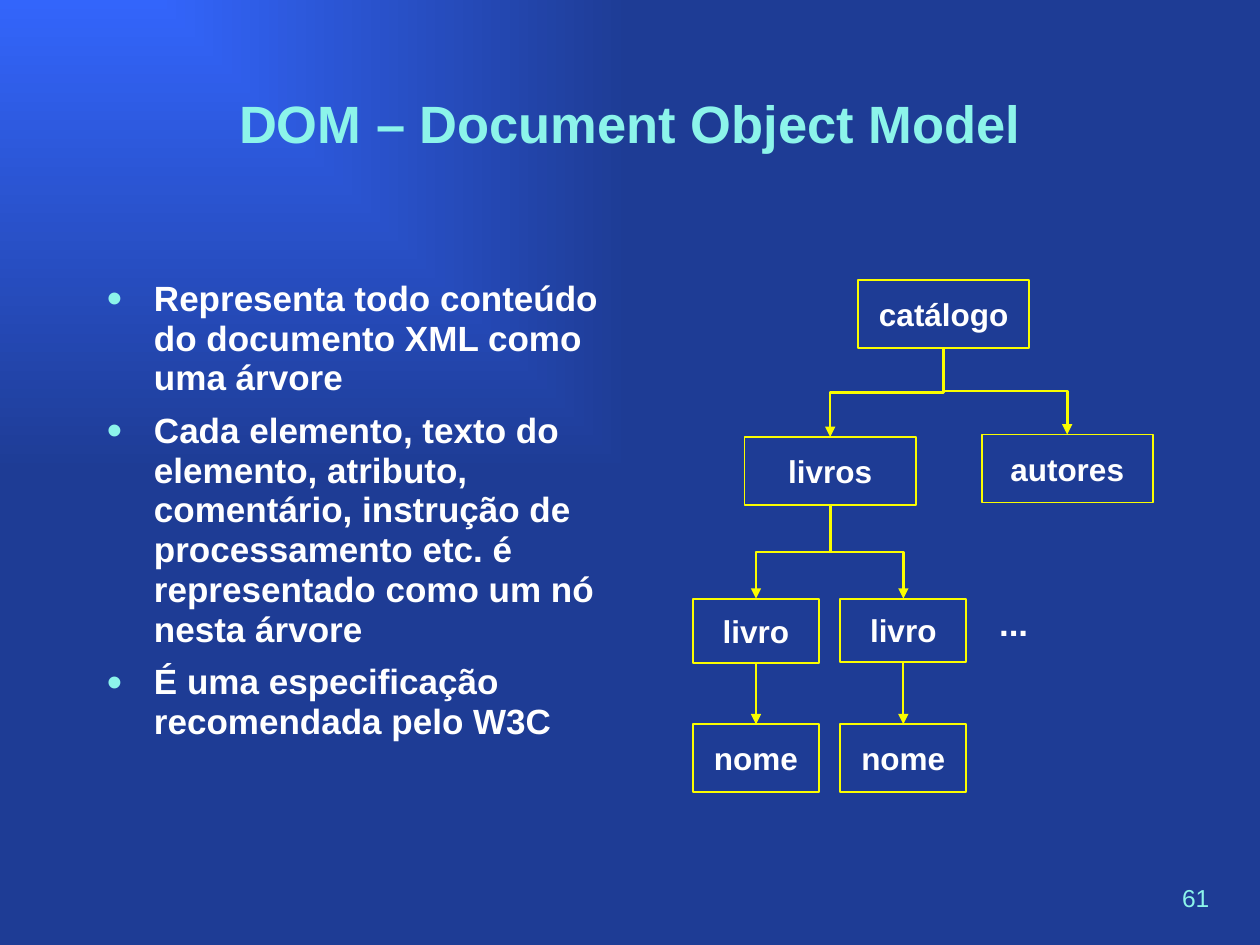
from lxml import etree
from pptx import Presentation
from pptx.dml.color import RGBColor
from pptx.enum import shapes, text
from pptx.oxml.ns import qn
from pptx.util import Cm, Pt

COLORS = {
    "glow": "3365FB",
    "night": "1E3C95",
    "aqua": "8CF4EA",
    "white": "FFFFFF",
    "yellow": "FAFD00",
}


def rgb(name):
    return RGBColor.from_string(COLORS[name])


class TreeSlide:
    """Holds the style and the current slide."""

    font_name = "Arial"

    def __init__(self, slide):
        self.slide = slide

    def background(self):
        fill = self.slide.background.fill
        fill.gradient()
        for stop, color in zip(fill.gradient_stops, ("glow", "night")):
            stop.color.rgb = rgb(color)
        gradient = self.slide._element.find(".//" + qn("a:gradFill"))
        gradient.remove(gradient.find(qn("a:lin")))
        shade = etree.SubElement(gradient, qn("a:path"), path="rect")
        etree.SubElement(shade, qn("a:fillToRect"), r="100000", b="100000")

    def style(self, paragraph, size, color="white", bold=True, align=None):
        font = paragraph.font
        font.name, font.size, font.bold = self.font_name, Pt(size), bold
        font.color.rgb = rgb(color)
        paragraph.alignment = align

    def place(self, shape, left, top, width, height):
        shape.left, shape.top = Cm(left), Cm(top)
        shape.width, shape.height = Cm(width), Cm(height)
        frame = shape.text_frame
        frame.auto_size = text.MSO_AUTO_SIZE.NONE
        frame.vertical_anchor = text.MSO_ANCHOR.TOP
        return frame

    def title(self, words, *box):
        frame = self.place(self.slide.shapes.title, *box)
        frame.text = words
        self.style(frame.paragraphs[0], 30, "aqua", align=text.PP_ALIGN.CENTER)

    def bullets(self, items, *box):
        frame = self.place(self.slide.placeholders[1], *box)
        frame.text = "\n".join(items)
        for paragraph in frame.paragraphs:
            self.style(paragraph, 20, align=text.PP_ALIGN.LEFT)
            paragraph.line_spacing = 0.95
            paragraph.space_before = Pt(7)
            props = paragraph._p.get_or_add_pPr()
            props.set("marL", str(Cm(0.95)))
            props.set("indent", str(-Cm(0.95)))
            tint = etree.Element(qn("a:buClr"))
            etree.SubElement(tint, qn("a:srgbClr"), val=COLORS["aqua"])
            size = etree.Element(qn("a:buSzPct"), val="125000")
            face = etree.Element(qn("a:buFont"), typeface=self.font_name)
            dot = etree.Element(qn("a:buChar"), char="•")
            # Bullet marks stand after spacing and before run defaults
            at = props.index(props.find(qn("a:defRPr")))
            props[at:at] = [tint, size, face, dot]

    def label(self, words, left, top, width, height, size, **look):
        shape = self.slide.shapes.add_textbox(
            Cm(left), Cm(top), Cm(width), Cm(height))
        frame = shape.text_frame
        frame.word_wrap = False
        frame.vertical_anchor = text.MSO_ANCHOR.MIDDLE
        frame.text = words
        self.style(frame.paragraphs[0], size, **look)

    def node(self, words, left, top, width, height=1.37):
        shape = self.slide.shapes.add_shape(
            shapes.MSO_SHAPE.RECTANGLE,
            Cm(left), Cm(top), Cm(width), Cm(height))
        shape.shadow.inherit = False
        shape.fill.background()
        shape.line.color.rgb = rgb("yellow")
        shape.line.width = Pt(1)
        frame = shape.text_frame
        frame.word_wrap = False
        frame.vertical_anchor = text.MSO_ANCHOR.MIDDLE
        frame.text = words
        self.style(frame.paragraphs[0], 18, align=text.PP_ALIGN.CENTER)
        return shape

    def arrow(self, kind, parent, child, width):
        link = self.slide.shapes.add_connector(kind, 0, 0, 0, 0)
        link.begin_connect(parent, 2)
        link.end_connect(child, 0)
        link.line.color.rgb = rgb("yellow")
        link.line.width = Pt(width)
        etree.SubElement(link.line._get_or_add_ln(), qn("a:tailEnd"),
                         type="triangle")
        etree.SubElement(link._element.spPr, qn("a:effectLst"))
        return link

    def straight(self, parent, child):
        self.arrow(shapes.MSO_CONNECTOR.STRAIGHT, parent, child, 1)

    def elbow(self, parent, child):
        """Leaves downwards: the elbow is turned about its centre."""
        link = self.arrow(shapes.MSO_CONNECTOR.ELBOW, parent, child, 1.5)
        to_right = link.end_x > link.begin_x
        across, down = link.width, link.height
        center_x, center_y = link.left + across // 2, link.top + down // 2
        link.left, link.top = center_x - down // 2, center_y - across // 2
        link.width, link.height = down, across
        frame = link._element.spPr.find(qn("a:xfrm"))
        frame.set("rot", str((270 if to_right else 90) * 60000))
        frame.set("flipH", "1" if to_right else "0")


def main():
    deck = Presentation()
    deck.slide_width, deck.slide_height = Cm(25.4), Cm(19.05)
    page = TreeSlide(deck.slides.add_slide(deck.slide_layouts[1]))
    page.background()

    # Title, list and page number
    page.title("DOM – Document Object Model", 1.9, 1.7, 21.6, 3.18)
    page.bullets([
        "Representa todo conteúdo do documento XML como uma árvore",
        "Cada elemento, texto do elemento, atributo, comentário, instrução "
        "de processamento etc. é representado como um nó nesta árvore",
        "É uma especificação recomendada pelo W3C",
    ], 1.9, 5.5, 10.6, 11.43)
    page.label("61", 23.58, 17.68, 1.3, 0.84, 14, color="aqua", bold=False)

    # Upper levels of the tree
    catalog = page.node("catálogo", 17.3, 5.64, 3.45)
    books = page.node("livros", 15.01, 8.81, 3.45)
    authors = page.node("autores", 19.79, 8.76, 3.45)
    page.elbow(catalog, books)
    page.elbow(catalog, authors)

    # Each book with its name
    for left, height in ((13.97, 1.3), (16.94, 1.27)):
        book = page.node("livro", left, 12.07, 2.54, height)
        name = page.node("nome", left, 14.6, 2.54)
        page.elbow(books, book)
        page.straight(book, name)
    page.label("...", 19.71, 12.22, 1.45, 0.64, 20,
               align=text.PP_ALIGN.CENTER)

    deck.save("out.pptx")


if __name__ == "__main__":
    main()
